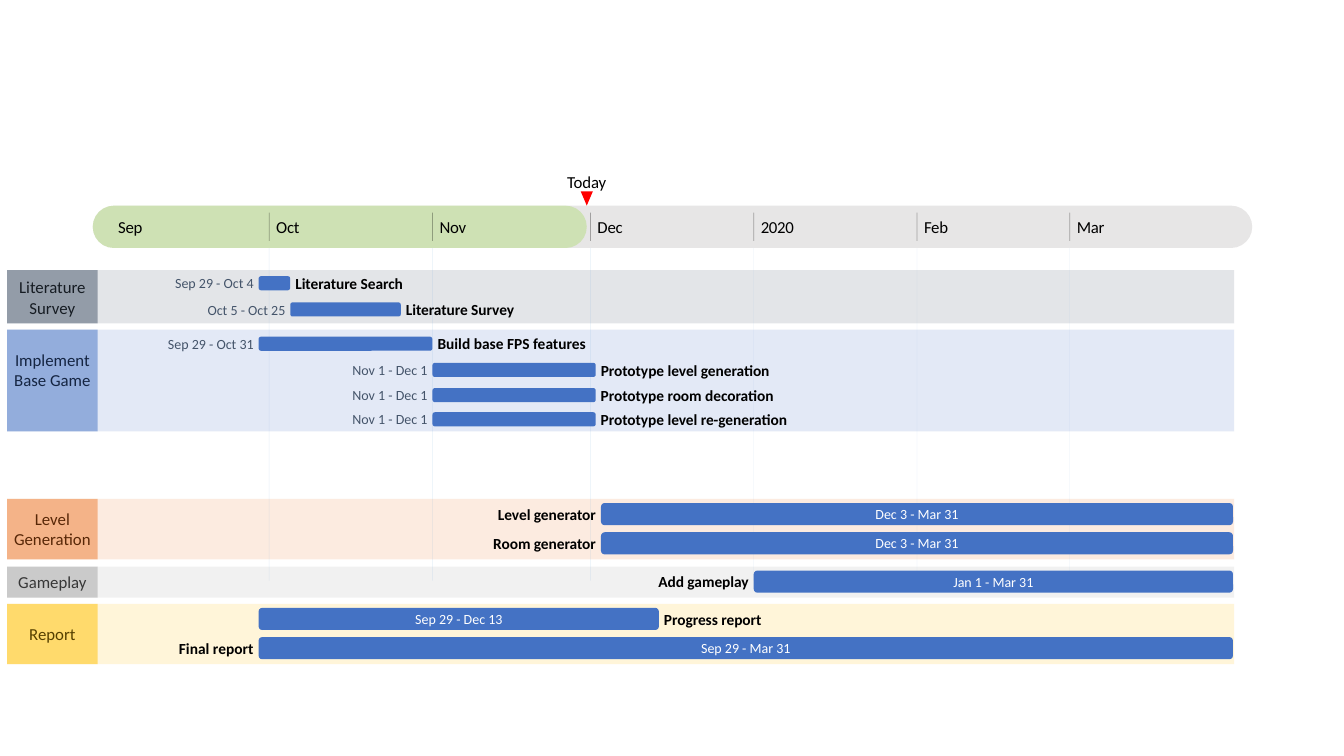
from dataclasses import dataclass
from itertools import accumulate
from typing import Any

from lxml.etree import SubElement
from pptx import Presentation
from pptx.dml.color import RGBColor
from pptx.dml.fill import FillFormat
from pptx.enum.shapes import MSO_CONNECTOR, MSO_SHAPE
from pptx.enum.text import MSO_ANCHOR, PP_ALIGN
from pptx.oxml.ns import qn
from pptx.shapes.autoshape import Shape
from pptx.util import Inches, Pt

BAR_COLOR = "4472C4"
DATE_COLOR = "44546A"
BAND_LEFT, BAND_WIDTH, HEADING_WIDTH = 0.07, 12.17, 0.9
AXIS_LEFT, AXIS_TOP, AXIS_HEIGHT = 0.92, 2.04, 0.42
TODAY = 5.82
OCTOBER = 2.67
DAY = 7.94 / 152
GAP = 0.05
MONTHS = ("Sep", "Oct", "Nov", "Dec", "Jan", "Feb", "Mar")
MONTH_DAYS = (30, 31, 30, 31, 31, 29)
MONTH_STARTS = {
    month: OCTOBER + DAY * days
    for month, days in zip(MONTHS, accumulate(MONTH_DAYS, initial=-30))
}
MONTH_WIDTH = 0.36


@dataclass
class Section:
    name: str
    color: str
    text_color: str
    top: float
    height: float
    label_middle: float
    label_height: float


@dataclass
class Task:
    name: str
    dates: str
    top: float
    name_width: float
    dates_width: float
    height: float = 0.14
    name_before: bool = False
    spacing: int = -5


SECTIONS = (
    Section("Literature Survey", "44546A", "161C23", 2.68, 0.53, 2.95, 0.41),
    Section("Implement Base Game", "4472C4", "152542", 3.27, 1.01, 3.67, 0.41),
    Section("Level Generation", "ED7D31", "582707", 4.95, 0.6, 5.25, 0.41),
    Section("Gameplay", "A5A5A5", "373737", 5.62, 0.31, 5.77, 0.2),
    Section("Report", "FFC000", "554000", 5.99, 0.6, 6.29, 0.2),
)

TASKS = (
    Task("Literature Search", "Sep 29 - Oct 4", 2.74, 1.12, 0.82),
    Task("Literature Survey", "Oct 5 - Oct 25", 3, 1.12, 0.82),
    Task("Build base FPS features", "Sep 29 - Oct 31", 3.34, 1.55, 0.9, spacing=0),
    Task("Prototype level generation", "Nov 1 - Dec 1", 3.6, 1.75, 0.78),
    Task("Prototype room decoration", "Nov 1 - Dec 1", 3.85, 1.8, 0.78),
    Task("Prototype level re-generation", "Nov 1 - Dec 1", 4.09, 3.06, 0.78),
    Task("Level generator", "Dec 3 - Mar 31", 4.99, 1.03, 0.86, 0.22, True),
    Task("Room generator", "Dec 3 - Mar 31", 5.28, 1.07, 0.86, 0.22, True),
    Task("Add gameplay", "Jan 1 - Mar 31", 5.66, 0.95, 0.84, 0.22, True),
    Task("Progress report", "Sep 29 - Dec 13", 6.03, 1.03, 0.91, 0.22),
    Task("Final report", "Sep 29 - Mar 31", 6.32, 0.8, 0.93, 0.22, True, 0),
)

deck = Presentation()
deck.slide_width, deck.slide_height = Inches(13.33), Inches(7.5)
slide = deck.slides.add_slide(deck.slide_layouts[6])


def apply_format(target: Any, values: dict[str, Any]) -> None:
    for name, value in values.items():
        setattr(target, name, value)


def paint(fill: FillFormat, color: str, opacity: int = 100) -> None:
    fill.solid()
    fill.fore_color.rgb = RGBColor.from_string(color)
    if opacity < 100:
        element = fill._xPr.find(qn("a:solidFill"))[0]
        SubElement(element, qn("a:alpha")).set("val", str(opacity * 1000))


def add_block(kind: MSO_SHAPE, left: float, top: float, width: float,
              height: float, color: str, opacity: int = 100) -> Shape:
    block = slide.shapes.add_shape(
        kind, Inches(left), Inches(top), Inches(width), Inches(height))
    block.shadow.inherit = False
    block.line.fill.background()
    paint(block.fill, color, opacity)
    return block


def add_rule(x: float, top: float, bottom: float, color: str,
             weight: float, opacity: int) -> None:
    rule = slide.shapes.add_connector(
        MSO_CONNECTOR.STRAIGHT, Inches(x), Inches(top), Inches(x), Inches(bottom))
    rule.line.width = Pt(weight)
    paint(rule.line.fill, color, opacity)
    SubElement(rule._element.spPr, qn("a:effectLst"))


def add_label(text: str, left: float, middle: float, width: float, height: float,
              size: int, color: str = "000000", align: PP_ALIGN = PP_ALIGN.LEFT,
              bold: bool = False, spacing: int = 0) -> None:
    box = slide.shapes.add_textbox(
        Inches(left), Inches(middle - height / 2), Inches(width), Inches(height))
    apply_format(box.text_frame, {
        "margin_left": 0, "margin_right": 0, "margin_top": 0, "margin_bottom": 0,
        "vertical_anchor": MSO_ANCHOR.MIDDLE, "word_wrap": True})
    para = box.text_frame.paragraphs[0]
    para.alignment = align
    span = para.add_run()
    span.text = text
    apply_format(span.font, {"name": "Calibri", "size": Pt(size), "bold": bold})
    paint(span.font.fill, color)
    if spacing:
        span.font._element.set("spc", str(spacing))


def locate(date: str) -> float:
    month, day = date.split()
    return MONTH_STARTS[month] + DAY * (int(day) - 1)


def add_task(task: Task) -> None:
    first, last = task.dates.split(" - ")
    start, end = locate(first), locate(last) + DAY
    middle = task.top + task.height / 2
    add_block(MSO_SHAPE.ROUNDED_RECTANGLE, start, task.top, end - start,
              task.height, BAR_COLOR)
    if task.height > 0.2:
        add_label(task.dates, (start + end - task.dates_width) / 2, middle,
                  task.dates_width, 0.17, 10, "FFFFFF", PP_ALIGN.CENTER)
    else:
        add_label(task.dates, start - GAP - task.dates_width, middle,
                  task.dates_width, 0.17, 10, DATE_COLOR, PP_ALIGN.RIGHT)
    left = start - GAP - task.name_width if task.name_before else end + GAP
    align = PP_ALIGN.RIGHT if task.name_before else PP_ALIGN.LEFT
    add_label(task.name, left, middle, task.name_width, 0.19, 11,
              align=align, bold=True, spacing=task.spacing)


for section in SECTIONS:
    for width, opacity in ((BAND_WIDTH, 15), (HEADING_WIDTH, 50)):
        add_block(MSO_SHAPE.RECTANGLE, BAND_LEFT, section.top, width,
                  section.height, section.color, opacity)
    add_label(section.name, BAND_LEFT, section.label_middle, HEADING_WIDTH,
              section.label_height, 12, section.text_color, PP_ALIGN.CENTER)

ticks = list(MONTH_STARTS.values())[1:]
axis_bottom = AXIS_TOP + AXIS_HEIGHT
for x in ticks:
    add_rule(x, axis_bottom, 5.76, "5B9BD5", 0.3, 15)

for task in TASKS:
    add_task(task)

for width, color, opacity in ((11.5, "E7E6E6", 100), (TODAY - AXIS_LEFT, "96D642", 30)):
    axis = add_block(MSO_SHAPE.ROUNDED_RECTANGLE, AXIS_LEFT, AXIS_TOP, width,
                     AXIS_HEIGHT, color, opacity)
    axis.adjustments[0] = 0.5

for x in ticks:
    add_rule(x, AXIS_TOP + 0.07, axis_bottom - 0.07, "000000", 0.5, 30)
for month, start in MONTH_STARTS.items():
    add_label("2020" if month == "Jan" else month, start + 0.07,
              AXIS_TOP + AXIS_HEIGHT / 2, MONTH_WIDTH, 0.2, 12, spacing=-20)

marker = add_block(MSO_SHAPE.ISOSCELES_TRIANGLE, TODAY - 0.06, 1.9, 0.12, 0.14, "FF0000")
marker._element.spPr.xfrm.set("flipV", "1")
add_label("Today", TODAY - 0.22, 1.8, 0.44, 0.2, 12, align=PP_ALIGN.CENTER, spacing=-10)

deck.save("out.pptx")
